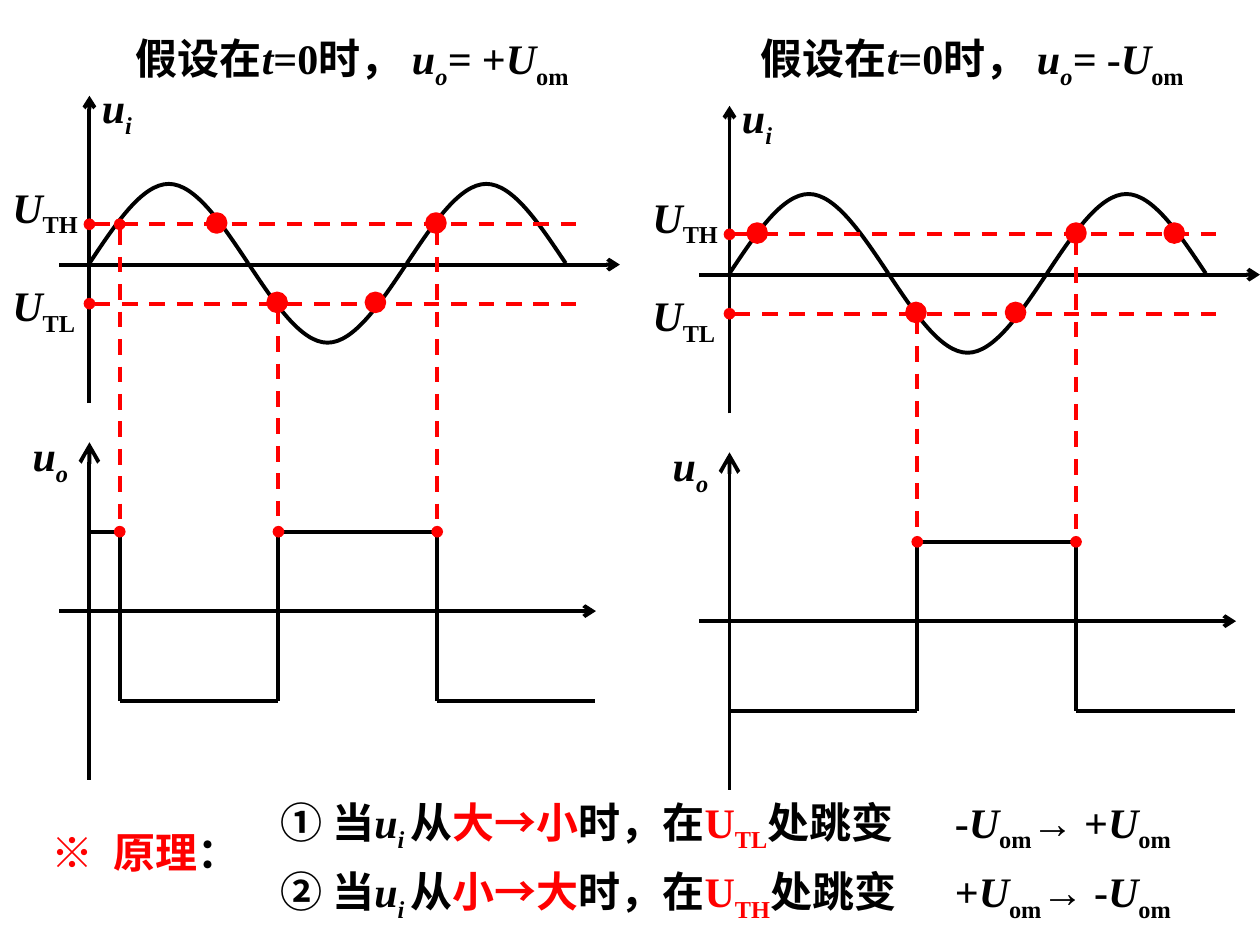
from lxml import etree
from pptx import Presentation
from pptx.dml.color import RGBColor
from pptx.enum.dml import MSO_LINE
from pptx.enum.shapes import MSO_CONNECTOR, MSO_SHAPE
from pptx.oxml.ns import qn
from pptx.util import Inches, Pt

STRAIGHT, OVAL, DASH = MSO_CONNECTOR.STRAIGHT, MSO_SHAPE.OVAL, MSO_LINE.DASH
SERIF, CJK = "Times New Roman", "Noto Sans CJK SC"
BLACK, RED = "000000", "FF0000"

# Heights and the time origin in the left panel
ORIGIN, ZERO, HALF_WAVE, AMPLITUDE = 0.71, 2.09, 1.26, 0.63
TH, TL, HIGH, LOW = 1.78, 2.41, 4.22, 5.56
# Relative heights of the Bezier points of a half wave, at equal steps
ARCH = (0, 0.5, 1, 1, 1, 0.5, 0)


# Runs are (text, style): i italic, s subscript, r red, c Chinese font
def title(sign):
    return [("假设在", ""), ("t", "i"), ("=0时， ", ""), ("u", "i"), ("o", "is"),
            ("= ", "i"), (sign, ""), ("U", "i"), ("om", "s")]


def rule(number, change, threshold):
    return [(number + " 当", "c"), ("u", "i"), ("i ", "is"), ("从", "c"),
            (change, "cr"), ("时，在", "c"), ("U", "r"), (threshold, "rs"),
            ("处跳变", "c")]


def jump(before, after):
    return [(before, ""), ("U", "i"), ("om", "s"), ("→ " + after, ""),
            ("U", "i"), ("om", "s")]


TEXTS = [  # left, top, width, height, runs
    (0.98, 0.21, 3.94, 0.56, title("+")),
    (5.94, 0.21, 3.9, 0.56, title("-")),
    (2.13, 6.27, 5.55, 0.56, rule("①", "大→小", "TL")),
    (7.48, 6.27, 2.52, 0.56, jump("-", "+")),
    (2.13, 6.82, 5.55, 0.56, rule("②", "小→大", "TH")),
    (7.48, 6.82, 2.52, 0.56, jump("+", "-")),
    (0.31, 6.51, 3.15, 0.5, [("※\t", "cr"), ("原理", "r"), ("：", "")]),
]
AXIS_LABELS = [
    (0.71, 0.6, 1.18, 0.56, [("u", "i"), ("i", "is")]),
    (0.16, 3.36, 0.95, 0.56, [("u", "i"), ("o", "is")]),
    (0, 1.39, 1.18, 0.56, [("U", "i"), ("TH", "s")]),
    (0, 2.17, 1.18, 0.56, [("U", "i"), ("TL", "s")]),
]
AXES = [  # start, end, arrow size
    ((0.47, 2.1), (4.92, 2.1), "med"),
    ((0.71, 3.2), (0.71, 0.76), "med"),
    ((0.47, 4.85), (4.73, 4.85), "med"),
    ((0.71, 6.19), (0.71, 3.51), "lg"),
]
PANELS = [  # the output is drawn from one time mark to the next
    {"shift": (0, 0),
     "output": [(ORIGIN, HIGH), (0.95, HIGH), (0.95, LOW), (1.73, LOW),
                (2.21, LOW), (2.21, HIGH), (2.99, HIGH), (3.47, HIGH),
                (3.47, LOW), (4.72, LOW)],
     "switches": [(0.95, TH), (2.21, TL), (3.47, TH)],
     "crossings": [(1.72, TH), (2.2, TL), (2.98, TL), (3.46, TH)]},
    {"shift": (5.08, 0.08),
     "output": [(ORIGIN, LOW), (0.94, LOW), (1.73, LOW), (2.2, LOW),
                (2.2, HIGH), (2.99, HIGH), (3.46, HIGH), (3.46, LOW),
                (4.72, LOW)],
     "switches": [(2.2, TL), (3.46, TH)],
     "crossings": [(0.93, TH), (2.19, TL), (2.98, TL), (3.46, TH), (4.24, TH)]},
]

prs = Presentation()
prs.slide_width, prs.slide_height = Inches(10), Inches(7.5)
slide = prs.slides.add_slide(prs.slide_layouts[6])
shapes = slide.shapes


def color(hex_value):
    return RGBColor.from_string(hex_value)


def set_line(shape, hex_value):
    shape.line.color.rgb = color(hex_value)
    shape.line.width = Pt(2.25)


def add_line(start, end, shift, hex_value=BLACK, head=None, tail=None, size="med"):
    (x1, y1), (x2, y2), (dx, dy) = start, end, shift
    line = shapes.add_connector(STRAIGHT, Inches(x1 + dx), Inches(y1 + dy),
                                Inches(x2 + dx), Inches(y2 + dy))
    set_line(line, hex_value)
    if hex_value == RED:
        line.line.dash_style = DASH
    properties = line._element.spPr
    for tag, kind in (("a:headEnd", head), ("a:tailEnd", tail)):
        if kind:
            etree.SubElement(properties.find(qn("a:ln")), qn(tag),
                             type=kind, w=size, len=size)
    etree.SubElement(properties, qn("a:effectLst"))


def add_text(left, top, width, height, runs, shift=(0, 0)):
    box = shapes.add_textbox(Inches(left + shift[0]), Inches(top + shift[1]),
                             Inches(width), Inches(height))
    box.text_frame.word_wrap = True
    paragraph = box.text_frame.paragraphs[0]
    if any("\t" in text for text, _ in runs):
        tabs = etree.SubElement(paragraph._p.get_or_add_pPr(), qn("a:tabLst"))
        etree.SubElement(tabs, qn("a:tab"), pos=str(Inches(0.49)), algn="l")
    paragraph.font.size = Pt(24)
    paragraph.font.bold = True
    for text, style in runs:
        run = paragraph.add_run()
        run.text = text
        run.font.name = CJK if "c" in style else SERIF
        run.font.color.rgb = color(RED if "r" in style else BLACK)
        run.font.italic = "i" in style
        properties = run._r.get_or_add_rPr()
        if "s" in style:
            properties.set("baseline", "-25000")
        if "c" in style or any(letter > "⺀" for letter in text):
            etree.SubElement(properties, qn("a:ea"), typeface=CJK)


def add_half_wave(index, shift):
    left = ORIGIN + shift[0] + HALF_WAVE * index
    direction = -1 if index % 2 == 0 else 1
    points = [(Inches(left + HALF_WAVE * n / 6),
               Inches(ZERO + shift[1] + direction * AMPLITUDE * height))
              for n, height in enumerate(ARCH)]
    builder = shapes.build_freeform(*points[0])
    builder.add_line_segments(points[1:], close=False)
    wave = builder.convert_to_shape()
    # Every three points become one cubic curve
    segments = list(wave._element.iter(qn("a:lnTo")))
    outline = segments[0].getparent()
    for first in range(0, len(segments), 3):
        curve = etree.SubElement(outline, qn("a:cubicBezTo"))
        for segment in segments[first:first + 3]:
            curve.append(segment[0])
            outline.remove(segment)
    wave.fill.background()
    wave.shadow.inherit = False
    set_line(wave, BLACK)


def add_crossing(x, y, shift, size=0.14):
    dot = shapes.add_shape(OVAL, Inches(x + shift[0] - size / 2),
                           Inches(y - 0.01 + shift[1] - size / 2),
                           Inches(size), Inches(size))
    dot.shadow.inherit = False
    dot.fill.solid()
    dot.fill.fore_color.rgb = color(RED)
    set_line(dot, RED)


# Waveform panels
for panel in PANELS:
    shift = panel["shift"]
    for start, end, size in AXES:
        add_line(start, end, shift, tail="arrow", size=size)
    for index in range(3):
        add_half_wave(index, shift)
    for level in (TH, TL):
        add_line((ORIGIN, level), (4.57, level), shift, RED, head="oval")
    for start, end in zip(panel["output"], panel["output"][1:]):
        add_line(start, end, shift)
    for x, level in panel["switches"]:
        add_line((x, level), (x, HIGH), shift, RED, head="oval", tail="oval")
    for x, level in panel["crossings"]:
        add_crossing(x, level, shift)
    for label in AXIS_LABELS:
        add_text(*label, shift)

# Titles and switching rules
for text in TEXTS:
    add_text(*text)

prs.save("out.pptx")
